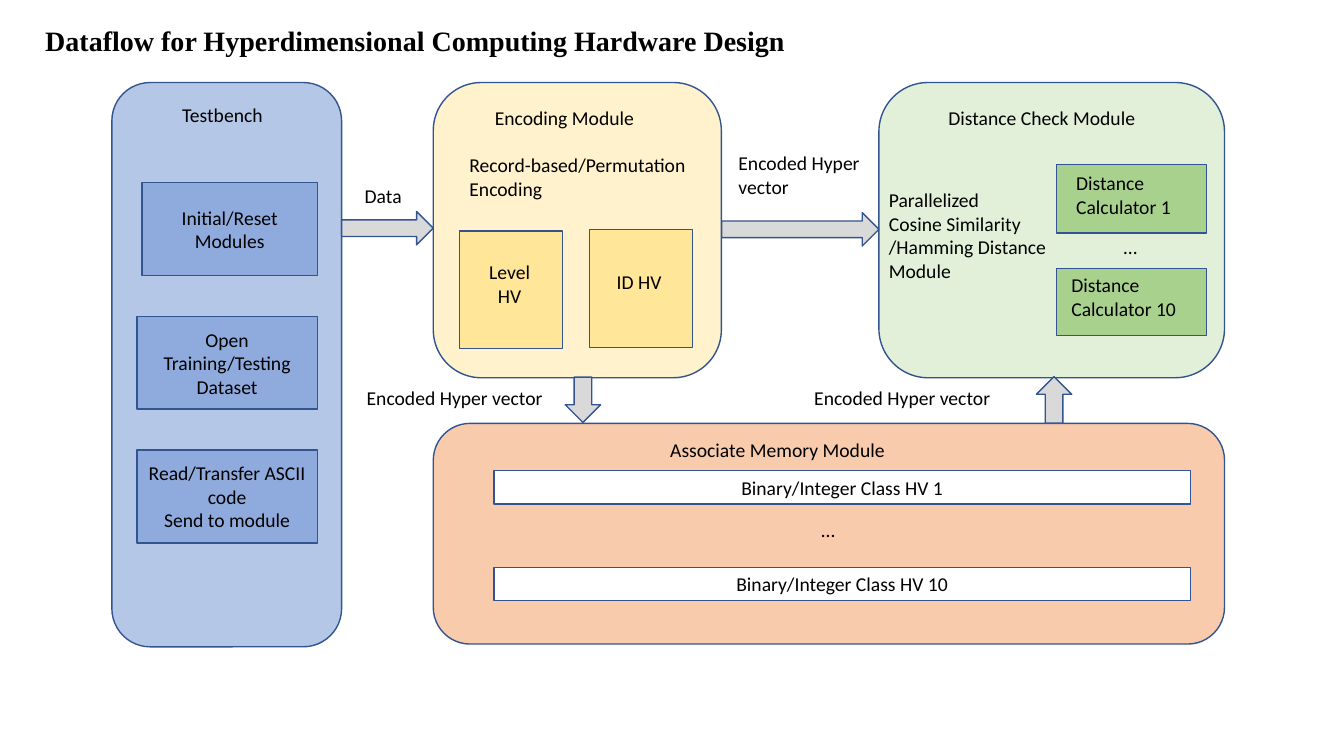
from pptx import Presentation
from pptx.dml.color import RGBColor
from pptx.enum.shapes import MSO_SHAPE
from pptx.enum.text import MSO_ANCHOR, PP_ALIGN
from pptx.util import Cm, Pt

ROUNDED = MSO_SHAPE.ROUNDED_RECTANGLE
RECTANGLE = MSO_SHAPE.RECTANGLE
ARROW = MSO_SHAPE.RIGHT_ARROW
LEFT, CENTER = PP_ALIGN.LEFT, PP_ALIGN.CENTER
TOP, MIDDLE = MSO_ANCHOR.TOP, MSO_ANCHOR.MIDDLE

BLACK = RGBColor(0x00, 0x00, 0x00)
WHITE = RGBColor(0xFF, 0xFF, 0xFF)
OUTLINE = RGBColor(0x32, 0x54, 0x91)
GRAY = RGBColor(0xD9, 0xD9, 0xD9)
LIGHT_BLUE = RGBColor(0xB4, 0xC7, 0xE7)
BLUE = RGBColor(0x8F, 0xAA, 0xDC)
LIGHT_YELLOW = RGBColor(0xFF, 0xF2, 0xCC)
YELLOW = RGBColor(0xFF, 0xE6, 0x99)
LIGHT_GREEN = RGBColor(0xE2, 0xF0, 0xD9)
GREEN = RGBColor(0xA9, 0xD1, 0x8E)
ORANGE = RGBColor(0xF8, 0xCB, 0xAD)


def write(frame, text, size=14, font="Calibri", bold=False, align=LEFT, anchor=TOP):
    """Fill a text frame, one paragraph per line of text."""
    frame.word_wrap = True
    frame.vertical_anchor = anchor
    frame.text = text
    for paragraph in frame.paragraphs:
        paragraph.alignment = align
        for run in paragraph.runs:
            run.font.size = Pt(size)
            run.font.name = font
            run.font.bold = bold
            run.font.color.rgb = BLACK


def add_label(slide, text, left, top, width, height=0.86, **style):
    label = slide.shapes.add_textbox(Cm(left), Cm(top), Cm(width), Cm(height))
    write(label.text_frame, text, **style)


def add_block(slide, kind, fill, left, top, width, height, text="", rotation=0):
    block = slide.shapes.add_shape(kind, Cm(left), Cm(top), Cm(width), Cm(height))
    block.shadow.inherit = False
    block.fill.solid()
    block.fill.fore_color.rgb = fill
    block.line.color.rgb = OUTLINE
    block.line.width = Pt(1)
    block.rotation = rotation
    if text:
        write(block.text_frame, text, align=CENTER, anchor=MIDDLE)


def add_modules(slide):
    add_block(slide, ROUNDED, LIGHT_BLUE, 2.82, 2.08, 5.79, 14.22)
    add_block(slide, ROUNDED, LIGHT_YELLOW, 10.92, 2.08, 7.26, 7.44)
    add_block(slide, ROUNDED, LIGHT_GREEN, 22.15, 2.08, 8.71, 7.44)
    add_block(slide, ROUNDED, ORANGE, 10.92, 10.67, 19.94, 5.56)

    add_label(slide, "Testbench", 4.34, 2.46, 2.92)
    add_label(slide, "Encoding Module", 12.22, 2.54, 5.13)
    add_label(slide, "Distance Check Module", 23.65, 2.54, 6.22)
    add_label(slide, "Associate Memory Module", 16.64, 10.9, 7.06)


def add_flows(slide):
    add_block(slide, ARROW, GRAY, 8.61, 5.33, 2.31, 0.84)
    add_block(slide, ARROW, GRAY, 18.19, 5.36, 3.96, 0.84)
    add_block(slide, ARROW, GRAY, 14.12, 9.63, 1.14, 0.89, rotation=90)
    add_block(slide, ARROW, GRAY, 25.98, 9.63, 1.17, 0.89, rotation=270)

    add_label(slide, "Data", 8.94, 4.52, 3.78)
    add_label(slide, "Encoded Hyper vector", 18.36, 3.68, 3.78, 1.42)
    add_label(slide, "Encoded Hyper vector", 8.99, 9.6, 5.23)
    add_label(slide, "Encoded Hyper vector", 20.27, 9.6, 5.87)


def add_testbench_steps(slide):
    steps = [
        ("Initial/Reset Modules", 3.58),
        ("Open Training/Testing Dataset", 3.45),
        ("Read/Transfer ASCII code\nSend to module", 3.45),
    ]
    right_edge = 8.0
    for index, (step, left) in enumerate(steps):
        add_block(slide, RECTANGLE, BLUE, left, 4.6 + 3.37 * index,
                  right_edge - left, 2.34, step)


def add_encoding(slide):
    add_label(slide, "Record-based/Permutation\nEncoding", 11.58, 3.73, 6.12, 1.45)
    add_block(slide, RECTANGLE, YELLOW, 11.58, 5.82, 2.59, 2.97)
    add_block(slide, RECTANGLE, YELLOW, 14.86, 5.79, 2.59, 2.97)
    add_label(slide, "Level\nHV", 12.03, 6.43, 1.63, 1.45, align=CENTER)
    add_label(slide, "ID HV", 15.29, 6.68, 1.7)


def add_distance_check(slide):
    add_label(slide, "Parallelized\nCosine Similarity /Hamming Distance Module",
              22.15, 4.62, 4.72, 2.64)
    add_block(slide, RECTANGLE, GREEN, 26.62, 4.14, 3.78, 1.73)
    add_block(slide, RECTANGLE, GREEN, 26.62, 6.76, 3.78, 1.7)
    add_label(slide, "Distance Calculator 1", 26.87, 4.19, 3.4, 1.42)
    add_label(slide, "…", 28.07, 5.79, 0.89)
    add_label(slide, "Distance Calculator 10", 26.75, 6.76, 3.66, 1.42)


def add_class_vectors(slide):
    for number, top in ((1, 11.86), (10, 14.3)):
        add_block(slide, RECTANGLE, WHITE, 12.45, top, 17.55, 0.84,
                  f"Binary/Integer Class HV {number}")
    add_label(slide, "…", 20.45, 12.93, 0.89)


def main():
    deck = Presentation()
    deck.slide_width, deck.slide_height = Cm(33.87), Cm(19.05)
    slide = deck.slides.add_slide(deck.slide_layouts[6])

    # Modules and the data passed between them
    add_modules(slide)
    add_flows(slide)

    # Contents of each module
    add_testbench_steps(slide)
    add_encoding(slide)
    add_distance_check(slide)
    add_class_vectors(slide)

    # Title
    add_label(slide, "Dataflow for Hyperdimensional Computing Hardware Design",
              0.89, 0.48, 19.56, 1.12, size=20, font="Times New Roman", bold=True)

    deck.save("out.pptx")


if __name__ == "__main__":
    main()
